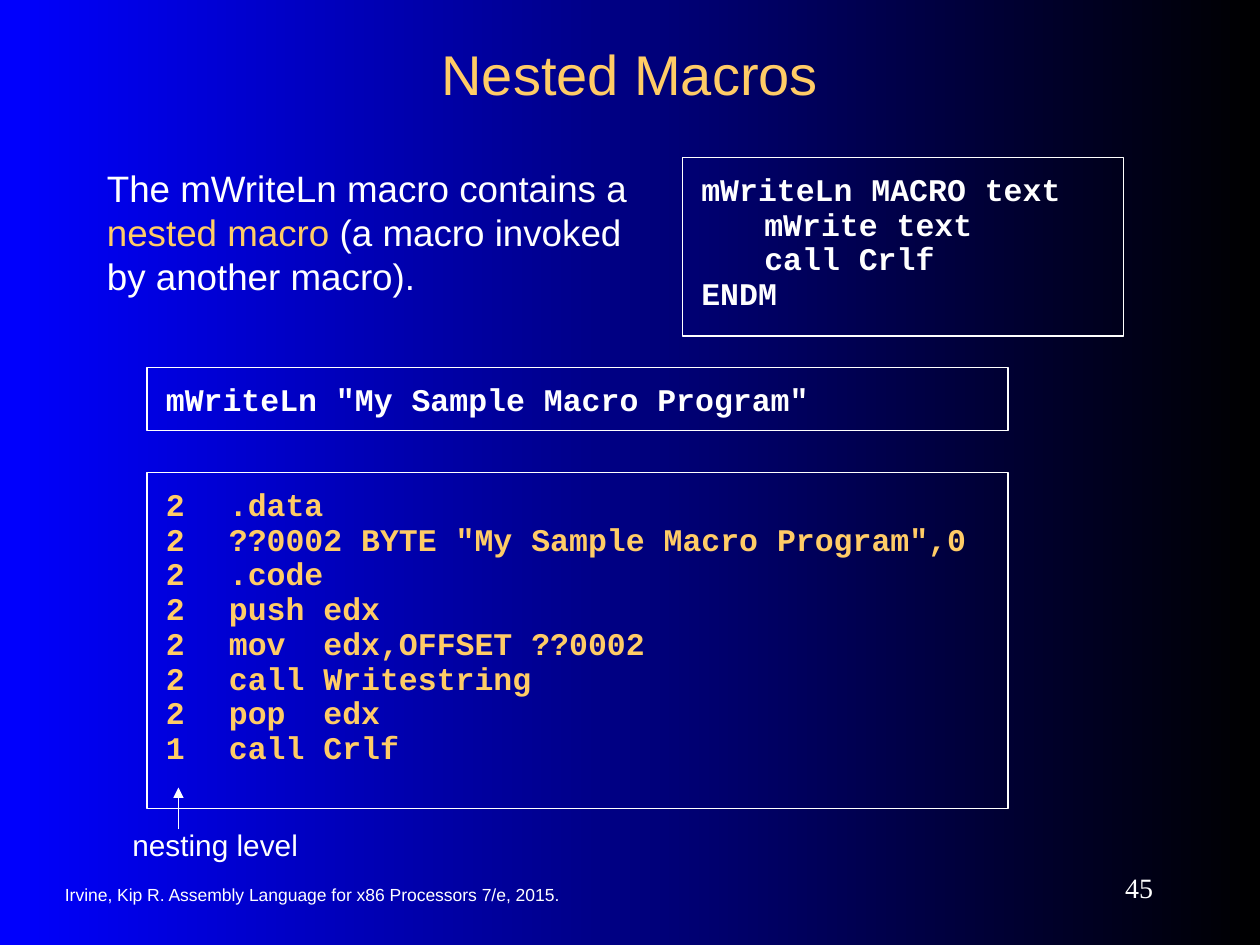
from pptx import Presentation
from pptx.dml.color import RGBColor
from pptx.enum.shapes import MSO_CONNECTOR, MSO_SHAPE
from pptx.enum.text import MSO_ANCHOR, PP_ALIGN
from pptx.oxml.ns import qn
from pptx.util import Pt
from lxml import etree

LEFT, CENTER, RIGHT = PP_ALIGN.LEFT, PP_ALIGN.CENTER, PP_ALIGN.RIGHT
TOP, MIDDLE = MSO_ANCHOR.TOP, MSO_ANCHOR.MIDDLE
COLORS = {"white": "FFFFFF", "gold": "FFCC66", "blue": "0000FF", "black": "000000"}


def rgb(name):
    return RGBColor.from_string(COLORS[name])


def write(box, text, size, color="white", font="Arial", align=LEFT,
          anchor=MIDDLE, bold=False, spacing=None):
    frame = box.text_frame
    frame.text = text
    frame.word_wrap = True
    frame.vertical_anchor = anchor
    for paragraph in frame.paragraphs:
        paragraph.alignment = align
        if spacing:
            paragraph.line_spacing = Pt(spacing)
        for span in paragraph.runs:
            span.font.name = font
            span.font.size = Pt(size)
            span.font.bold = bold
            span.font.color.rgb = rgb(color)
    return frame


deck = Presentation()
deck.slide_width, deck.slide_height = Pt(720), Pt(540)
page = deck.slides.add_slide(deck.slide_layouts[5])

# Background gradient, left to right
background = page.background.fill
background.gradient()
background.gradient_angle = 0
for stop, name in zip(background.gradient_stops, ("blue", "black")):
    stop.color.rgb = rgb(name)

# Title
title = page.shapes.title
title.left, title.top, title.width, title.height = Pt(54), Pt(18), Pt(612), Pt(48)
write(title, "Nested Macros", 32, "gold", align=CENTER)

# Footer and page number
footer = page.shapes.add_textbox(Pt(30), Pt(499), Pt(342), Pt(24))
write(footer, "Irvine, Kip R. Assembly Language for x86 Processors 7/e, 2015.", 10)
number = page.shapes.add_textbox(Pt(588), Pt(492), Pt(78), Pt(30))
write(number, "45", 16, font="Times New Roman", align=RIGHT)

# Explanation with a highlighted term
body = page.shapes.add_textbox(Pt(54), Pt(90), Pt(330), Pt(102))
frame = write(body, "The mWriteLn macro contains a ", 21, anchor=TOP, spacing=25)
frame.margin_top = Pt(5)
for text, color in (("nested macro", "gold"),
                    (" (a macro invoked by another macro).", "white")):
    span = frame.paragraphs[0].add_run()
    span.text = text
    span.font.name = "Arial"
    span.font.size = Pt(21)
    span.font.color.rgb = rgb(color)

# Code boxes: left, top, width, height, colour, lines
code_boxes = [
    (390, 90, 252, 102, "white",
     ["mWriteLn MACRO text", "\tmWrite text", "\tcall Crlf", "ENDM"]),
    (84, 210, 492, 36, "white", ['mWriteLn "My Sample Macro Program"']),
    (84, 270, 492, 192, "gold",
     ["2\t.data",
      '2\t??0002 BYTE "My Sample Macro Program",0',
      "2\t.code",
      "2\tpush edx",
      "2\tmov  edx,OFFSET ??0002",
      "2\tcall Writestring",
      "2\tpop  edx",
      "1\tcall Crlf"]),
]
for left, top, width, height, color, lines in code_boxes:
    box = page.shapes.add_shape(MSO_SHAPE.RECTANGLE, Pt(left), Pt(top), Pt(width), Pt(height))
    box.shadow.inherit = False
    box.fill.background()
    box.line.color.rgb = rgb("white")
    box.line.width = Pt(0.75)
    frame = write(box, "\n".join(lines), 18, color, "Courier New",
                  anchor=TOP, bold=True, spacing=19.8)
    frame.margin_left = frame.margin_right = Pt(10.8)
    frame.margin_top, frame.margin_bottom = Pt(9), Pt(0)
    for paragraph in frame.paragraphs:
        tabs = etree.SubElement(paragraph._p.get_or_add_pPr(), qn("a:tabLst"))
        etree.SubElement(tabs, qn("a:tab"), pos=str(Pt(36)), algn="l")

# Nesting level label and arrow
label = page.shapes.add_textbox(Pt(18), Pt(462), Pt(210), Pt(42))
frame = write(label, "nesting level", 17, align=CENTER, anchor=TOP)
frame.margin_top = frame.margin_bottom = Pt(10.8)
arrow = page.shapes.add_connector(MSO_CONNECTOR.STRAIGHT, Pt(102), Pt(474), Pt(102), Pt(450))
arrow.line.color.rgb = rgb("white")
arrow.line.width = Pt(0.75)
etree.SubElement(arrow.line._get_or_add_ln(), qn("a:tailEnd"), type="triangle")
etree.SubElement(arrow._element.spPr, qn("a:effectLst"))

deck.save("out.pptx")
